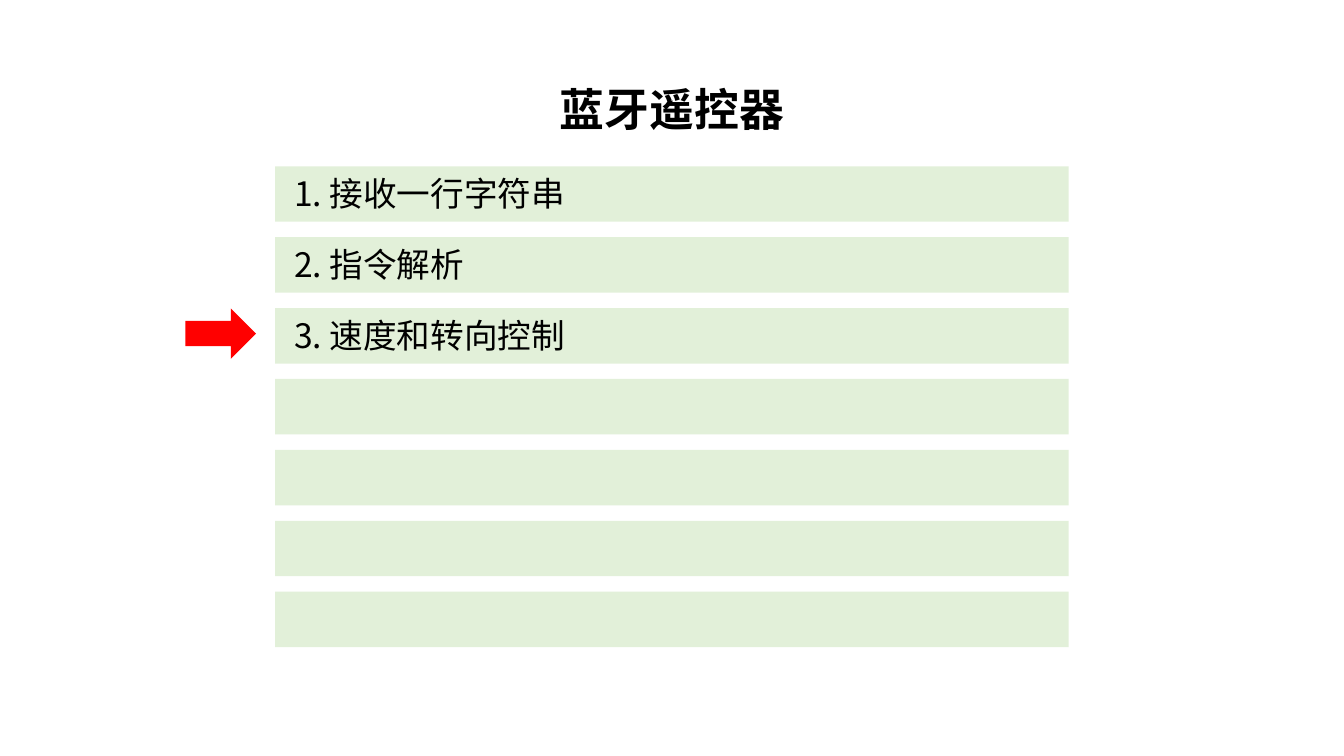
from lxml import etree
from pptx import Presentation
from pptx.dml.color import RGBColor
from pptx.enum.shapes import MSO_SHAPE
from pptx.enum.text import MSO_AUTO_SIZE, PP_ALIGN
from pptx.oxml.ns import qn
from pptx.util import Inches, Pt

RECTANGLE = MSO_SHAPE.RECTANGLE
RIGHT_ARROW = MSO_SHAPE.RIGHT_ARROW
LEFT, CENTER = PP_ALIGN.LEFT, PP_ALIGN.CENTER
FIT_TEXT = MSO_AUTO_SIZE.SHAPE_TO_FIT_TEXT
FONT = "Noto Sans CJK SC"

prs = Presentation()
prs.slide_width, prs.slide_height = Inches(13.33), Inches(7.5)
s = prs.slides.add_slide(prs.slide_layouts[6])


def add_text(text, x, y, w, h, size=24, bold=False, align=LEFT, color="000000"):
    tf = s.shapes.add_textbox(Inches(x), Inches(y), Inches(w), Inches(h)).text_frame
    tf.word_wrap = False
    tf.auto_size = FIT_TEXT
    p = tf.paragraphs[0]
    p.alignment = align
    r = p.add_run()
    r.text = text
    r.font.size = Pt(size)
    r.font.bold = bold
    r.font.color.rgb = RGBColor.from_string(color)
    r.font.name = FONT
    etree.SubElement(r.font._element, qn("a:ea"), typeface=FONT)


def add_block(shape_type, x, y, w, h, fill):
    sp = s.shapes.add_shape(shape_type, Inches(x), Inches(y), Inches(w), Inches(h))
    sp.shadow.inherit = False
    sp.fill.solid()
    sp.fill.fore_color.rgb = RGBColor.from_string(fill)
    sp.line.fill.background()


add_text("蓝牙遥控器", 5.44, 0.76, 2.45, 0.64, size=32, bold=True, align=CENTER)

# Seven evenly spaced bars, the first three labelled
bar_count = 7
first_top, last_top = 1.65, 5.87
pitch = (last_top - first_top) / (bar_count - 1)
steps = [("1. 接收一行字符串", 3.06), ("2. 指令解析", 2.05), ("3. 速度和转向控制", 3.06)]

for i in range(bar_count):
    top = first_top + i * pitch
    add_block(RECTANGLE, 2.73, top, 7.87, 0.55, "E2F0D9")
    if i < len(steps):
        label, width = steps[i]
        add_text(label, 2.82, top + 0.02, width, 0.5)

# Marker for the current step
add_block(RIGHT_ARROW, 1.84, 3.06, 0.7, 0.5, "FF0000")

prs.save("out.pptx")
